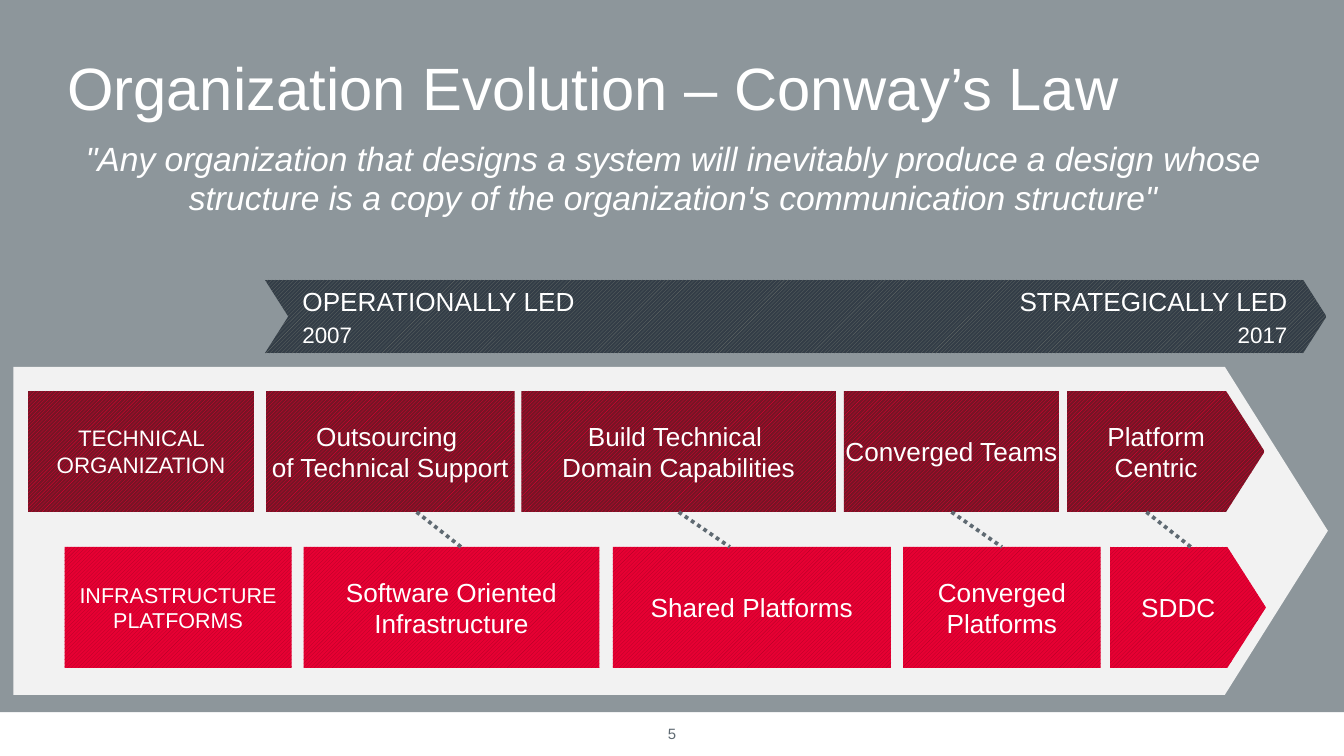
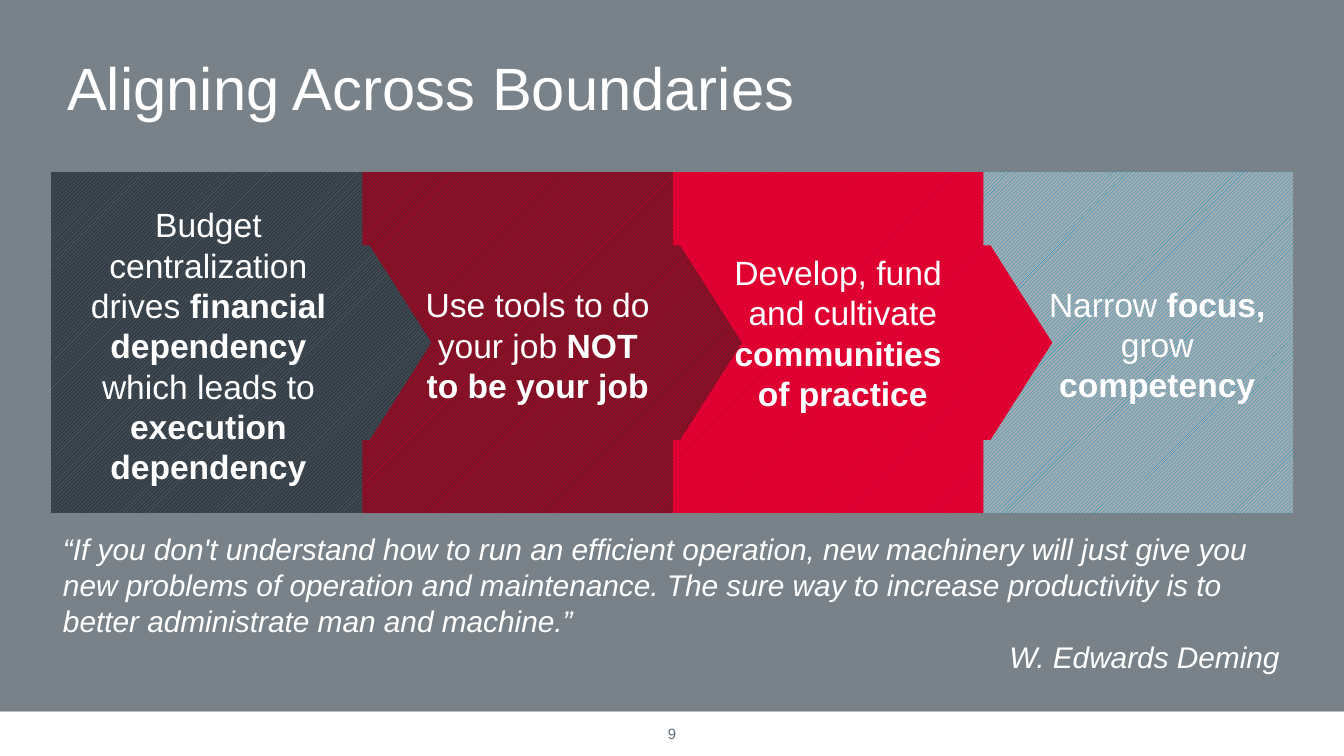
from typing import NamedTuple

from lxml import etree
from pptx import Presentation
from pptx.dml.color import RGBColor
from pptx.enum.dml import MSO_LINE, MSO_PATTERN
from pptx.enum.shapes import MSO_CONNECTOR, MSO_SHAPE
from pptx.enum.text import MSO_ANCHOR, MSO_AUTO_SIZE, PP_ALIGN
from pptx.oxml.ns import qn
from pptx.util import Inches, Pt

WIDTH, HEIGHT = Inches(10), Inches(5.625)
COLUMN, ROW = WIDTH / 100, HEIGHT / 56.25
FONT = "Arial"

WHITE = RGBColor(0xFF, 0xFF, 0xFF)
PALE = RGBColor(0xF2, 0xF2, 0xF2)
SILVER = RGBColor(0xBC, 0xC1, 0xC4)
LIGHT_SLATE = RGBColor(0x8D, 0x96, 0x9B)
SLATE = RGBColor(0x78, 0x82, 0x88)
GREY = RGBColor(0x5F, 0x6A, 0x72)
ASH = RGBColor(0x66, 0x6D, 0x6A)
NAVY = RGBColor(0x33, 0x3D, 0x47)
RED = RGBColor(0xE7, 0x00, 0x33)
CRIMSON = RGBColor(0xAD, 0x00, 0x26)
MAROON = RGBColor(0x76, 0x14, 0x25)
BLUE = RGBColor(0x04, 0x93, 0xC9)
MIST = RGBColor(0xA5, 0xAC, 0xB0)

LEFT, CENTER, RIGHT = PP_ALIGN.LEFT, PP_ALIGN.CENTER, PP_ALIGN.RIGHT
TOP, MIDDLE = MSO_ANCHOR.TOP, MSO_ANCHOR.MIDDLE
NO_FIT = MSO_AUTO_SIZE.NONE
HATCH = MSO_PATTERN.LIGHT_UPWARD_DIAGONAL
DOTS = MSO_LINE.ROUND_DOT
STRAIGHT = MSO_CONNECTOR.STRAIGHT
RECTANGLE, PENTAGON = MSO_SHAPE.RECTANGLE, MSO_SHAPE.PENTAGON
CHEVRON, CALLOUT = MSO_SHAPE.CHEVRON, MSO_SHAPE.RIGHT_ARROW_CALLOUT


class Area(NamedTuple):
    """A place on the grid, in columns and rows."""
    left: float
    top: float
    width: float
    height: float


class Weave(NamedTuple):
    """The two colours of a hatched fill."""
    front: RGBColor
    back: RGBColor


class Span(NamedTuple):
    """A stretch of text with one weight."""
    text: str
    bold: bool = False


class Para(NamedTuple):
    """A paragraph that may override the size or alignment of its box."""
    spans: tuple[Span, ...]
    size: float | None = None
    align: PP_ALIGN | None = None


class Step(NamedTuple):
    """One box in a row of the evolution arrow."""
    text: str
    left: float
    width: float
    size: float = 14


class Lane(NamedTuple):
    """A row of steps that ends in a pointed one."""
    top: float
    weave: Weave
    side_inset: float
    steps: tuple[Step, ...]


class Link(NamedTuple):
    """A dotted line between lanes, with the steps it joins, if any."""
    start: float
    end: float
    start_step: int | None = None
    end_step: int | None = None


class Stage(NamedTuple):
    """A callout of the alignment chain and its words."""
    weave: Weave
    words: Area
    spans: tuple[Span, ...]
    anchor: MSO_ANCHOR = MIDDLE


DARK = Weave(ASH, NAVY)
DEEP = Weave(RED, MAROON)
BRIGHT = Weave(CRIMSON, RED)
COOL = Weave(BLUE, MIST)

LANE_HEIGHT = 9
LANES = (
    Lane(29.1, DEEP, 0, (
        Step("TECHNICAL ORGANIZATION", 2.1, 16.8, 12),
        Step("Outsourcing \nof Technical Support", 19.8, 18.5),
        Step("Build Technical \nDomain Capabilities", 38.8, 23.4),
        Step("Converged Teams", 62.8, 16),
        Step("Platform Centric", 79.4, 14.7))),
    Lane(40.7, BRIGHT, 1, (
        Step("INFRASTRUCTURE PLATFORMS", 4.8, 16.9, 11.5),
        Step("Software Oriented Infrastructure", 22.6, 22),
        Step("Shared Platforms", 45.6, 20.7),
        Step("Converged Platforms", 67.2, 14.7),
        Step("SDDC", 82.6, 11.6))),
)
LINKS = (Link(31, 34.3), Link(50.3, 54.3, 2), Link(70.8, 74.4, 3, 3), Link(85.3, 88.6))

STAGE_PITCH = 23.1
STAGES = (
    Stage(DARK, Area(3.7, 14.1, 23.1, 22.7), (
        Span("Budget centralization drives "), Span("financial dependency", True),
        Span(" which leads to "), Span("execution dependency", True))),
    Stage(DEEP, Area(26.9, 20.1, 25.7, 10.6), (
        Span("Use tools to do\nyour job "), Span("NOT\nto be your job", True))),
    Stage(BRIGHT, Area(49.9, 17.7, 25.1, 13.6), (
        Span("Develop, fund \nand cultivate\n"), Span("communities \nof practice", True))),
    Stage(COOL, Area(75.3, 20.1, 21.1, 10.6), (
        Span("Narrow "), Span("focus, ", True), Span("grow "), Span("competency", True)), TOP),
)


def plain(text: str, size: float | None = None, align: PP_ALIGN | None = None) -> Para:
    """Make a paragraph of one regular span."""
    return Para((Span(text),), size, align)


def to_lengths(area: Area) -> tuple[int, int, int, int]:
    """Turn grid units into slide lengths."""
    return (round(area.left * COLUMN), round(area.top * ROW),
            round(area.width * COLUMN), round(area.height * ROW))


def write_text(frame, *paras: Para, size: float = 14, color: RGBColor = WHITE,
               italic: bool = False, align: PP_ALIGN = LEFT, anchor: MSO_ANCHOR = TOP,
               insets: tuple[float, ...] = (0, 0, 0, 0), before: float = 0,
               spacing: float = 1.0) -> None:
    """Fill a text frame; insets are in grid units and before is a share of the size."""
    frame.word_wrap, frame.auto_size, frame.vertical_anchor = True, NO_FIT, anchor
    frame.margin_left, frame.margin_top, frame.margin_right, frame.margin_bottom = (
        round(inset * COLUMN) for inset in insets)
    for index, para in enumerate(paras):
        target = frame.add_paragraph() if index else frame.paragraphs[0]
        points = para.size or size
        target.alignment = para.align or align
        target.line_spacing = spacing
        target.space_before = Pt(points * before)
        for span in para.spans:
            for number, line in enumerate(span.text.split("\n")):
                if number:
                    target.add_line_break()
                if line:
                    run = target.add_run()
                    run.text = line
                    run.font.name, run.font.size = FONT, Pt(points)
                    run.font.bold, run.font.italic = span.bold, italic
                    run.font.color.rgb = color


def add_box(shapes, kind: MSO_SHAPE, area: Area, paint: RGBColor | Weave,
            adjust: tuple[float, ...] = ()):
    """Draw a preset shape with a solid or hatched fill and no outline."""
    box = shapes.add_shape(kind, *to_lengths(area))
    box.shadow.inherit = False
    box.line.fill.background()
    if isinstance(paint, Weave):
        box.fill.patterned()
        box.fill.pattern = HATCH
        box.fill.fore_color.rgb, box.fill.back_color.rgb = paint
    else:
        box.fill.solid()
        box.fill.fore_color.rgb = paint
    for index, value in enumerate(adjust):
        box.adjustments[index] = value
    return box


def add_words(shapes, area: Area, *paras: Para, **style) -> None:
    """Add a text box."""
    write_text(shapes.add_textbox(*to_lengths(area)).text_frame, *paras, **style)


def add_line(shapes, start: tuple[float, float], end: tuple[float, float],
             color: RGBColor, weight: float):
    """Draw a straight line between two grid points."""
    line = shapes.add_connector(STRAIGHT, round(start[0] * COLUMN), round(start[1] * ROW),
                                round(end[0] * COLUMN), round(end[1] * ROW))
    line.line.color.rgb, line.line.width = color, Pt(weight)
    etree.SubElement(line._element.spPr, qn("a:effectLst"))
    return line


def fill_placeholder(holder, area: Area, text: str, **style) -> None:
    """Move a placeholder and write one unbulleted paragraph in it."""
    holder.left, holder.top, holder.width, holder.height = to_lengths(area)
    write_text(holder.text_frame, plain(text), spacing=0.95, **style)
    properties = holder.text_frame.paragraphs[0]._p.get_or_add_pPr()
    properties.set("marL", "0")
    properties.set("indent", "0")
    etree.SubElement(properties, qn("a:buNone"))


def start_page(deck, layout: int, title: str, number: str, panel: Area, color: RGBColor,
               ruled: bool = False):
    """Add a slide with its backdrop, title and page number."""
    page = deck.slides.add_slide(deck.slide_layouts[layout])
    if ruled:
        add_line(page.shapes, (0, 52.9), (100, 52.9), SILVER, 0.75)
    add_box(page.shapes, RECTANGLE, panel, color)
    tree = page.shapes._spTree
    for holder in list(page.placeholders):
        tree.append(holder._element)
    fill_placeholder(page.shapes.title, Area(5, 1.4, 91.9, 10.6), title, size=32, anchor=MIDDLE)
    add_words(page.shapes, Area(47.4, 53.8, 5.2, 1.5), plain(number), size=8, color=GREY,
              align=CENTER, anchor=MIDDLE)
    return page


def draw_lane(shapes, lane: Lane) -> list:
    """Draw the steps of a lane and return them."""
    boxes = []
    for step in lane.steps:
        last = step is lane.steps[-1]
        box = add_box(shapes, PENTAGON if last else RECTANGLE,
                      Area(step.left, lane.top, step.width, LANE_HEIGHT), lane.weave,
                      (0.319,) if last else ())
        write_text(box.text_frame, plain(step.text), size=step.size, align=CENTER,
                   anchor=MIDDLE, insets=(lane.side_inset, 0.5, lane.side_inset, 0.5))
        boxes.append(box)
    return boxes


def build_evolution(deck) -> None:
    """Build the slide on how the organization evolved."""
    page = start_page(deck, 1, "Organization Evolution – Conway’s Law", "5",
                      Area(0, 0, 100, 53), LIGHT_SLATE)
    fill_placeholder(
        page.placeholders[1], Area(2.1, 10.5, 96, 5.9),
        "\"Any organization that designs a system will inevitably produce a design whose "
        "structure is a copy of the organization's communication structure\"",
        size=18, italic=True, align=CENTER, before=0.5)
    banner = page.shapes.add_group_shape().shapes
    add_box(banner, CHEVRON, Area(19.7, 20.8, 79, 5.5), DARK, (0.318,))
    for left, width, label, year, align in (
            (22.5, 26.1, "OPERATIONALLY LED", "2007", LEFT),
            (67.6, 28.2, "STRATEGICALLY LED", "2017", RIGHT)):
        add_words(banner, Area(left, 21.2, width, 4.8), plain(label), plain(year, 12),
                  align=align, before=0.2)
    add_box(page.shapes, PENTAGON, Area(1, 27.3, 97.8, 24.4), PALE, (0.314,))
    upper, lower = (draw_lane(page.shapes, lane) for lane in LANES)
    for link in LINKS:
        line = add_line(page.shapes, (link.start, LANES[0].top + LANE_HEIGHT),
                        (link.end, LANES[1].top), GREY, 2)
        line.line.dash_style = DOTS
        if link.start_step is not None:
            line.begin_connect(upper[link.start_step], 2)
        if link.end_step is not None:
            line.end_connect(lower[link.end_step], 0)


def build_alignment(deck) -> None:
    """Build the slide on aligning across boundaries."""
    page = start_page(deck, 5, "Aligning Across Boundaries", "9",
                      Area(0, -0.5, 100, 53.4), SLATE, ruled=True)
    for index, stage in reversed(list(enumerate(STAGES))):
        last = index == len(STAGES) - 1
        add_box(page.shapes, CALLOUT,
                Area(3.8 + index * STAGE_PITCH, 12.8, STAGE_PITCH if last else 28.3, 25.4),
                stage.weave,
                (1.486, 0.743, 0, 0.819) if last else (0.57, 0.285, 0.181, 0.819))
    for stage in STAGES:
        add_words(page.shapes, stage.words, Para(stage.spans), size=18, align=CENTER,
                  anchor=stage.anchor, insets=(1.5, 1, 1, 0.5), before=0.2)
    add_words(
        page.shapes, Area(3.7, 39, 92.5, 11.8),
        plain("“If you don't understand how to run an efficient operation, new machinery will "
              "just give you new problems of operation and maintenance. The sure way to "
              "increase productivity is to better administrate man and machine.”"),
        plain("W. Edwards Deming", align=RIGHT),
        size=16, italic=True, insets=(1, 0.5, 1, 0.5))


def main() -> None:
    """Build and save the deck."""
    deck = Presentation()
    deck.slide_width, deck.slide_height = WIDTH, HEIGHT
    build_evolution(deck)
    build_alignment(deck)
    deck.save("out.pptx")


if __name__ == "__main__":
    main()
